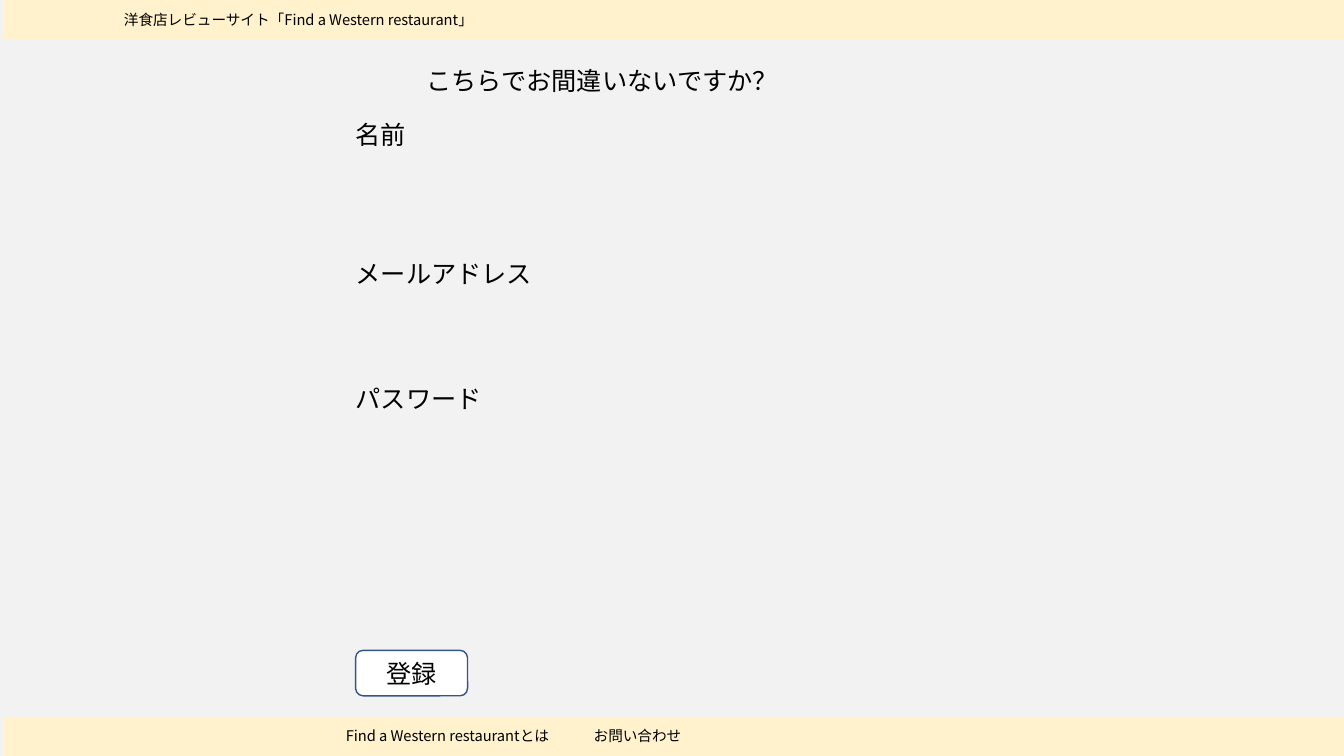
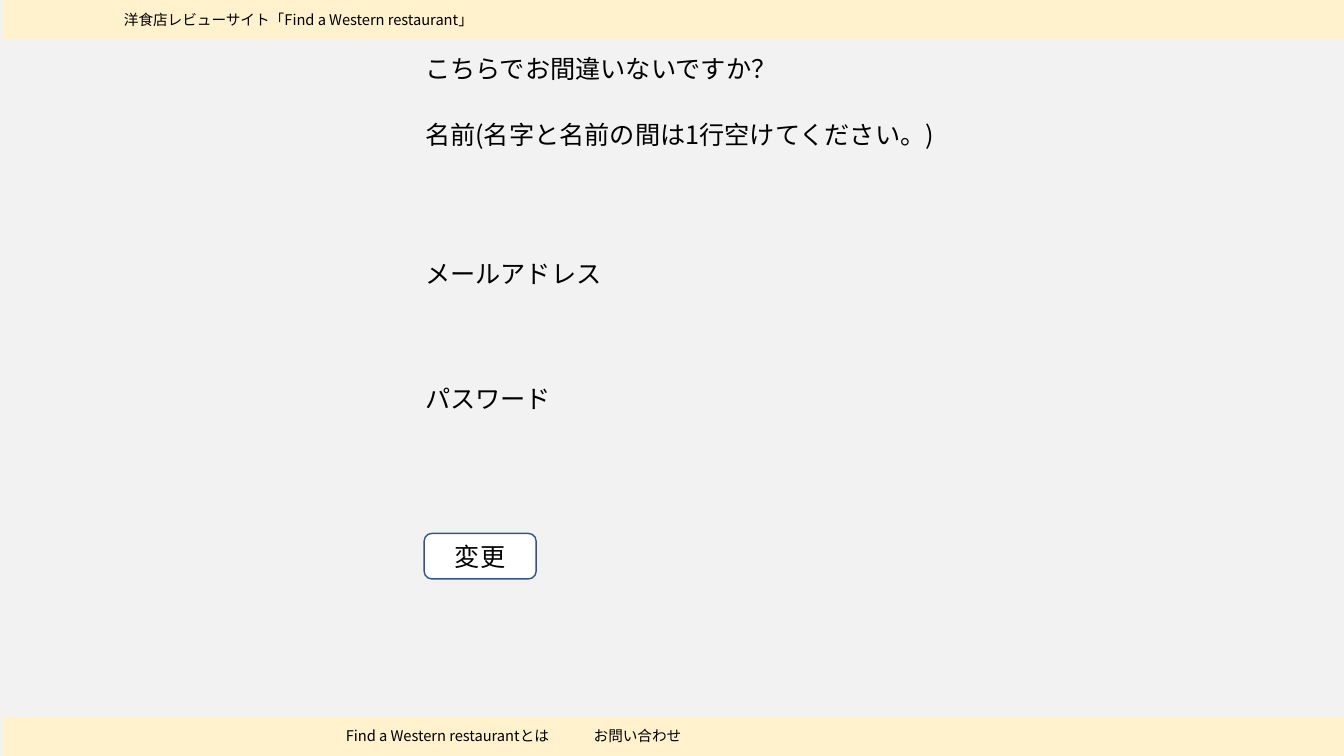
from dataclasses import dataclass

from lxml import etree
from pptx import Presentation
from pptx import util as u
from pptx.dml import color
from pptx.enum import shapes, text
from pptx.oxml import ns

# Content: one dict per screen, field labels paired with their top edge
SCREENS = [
    {
        "title": "こちらでお間違いないですか？", "title_at": (297.5, 43),
        "fields_left": 247,
        "fields": [("名前", 82), ("メールアドレス", 181), ("パスワード", 270)],
        "button": "登録", "button_at": (254, 464.5),
    },
    {
        "title": "こちらでお間違いないですか？", "title_at": (296.5, 34.5),
        "fields_left": 296.5,
        "fields": [("名前(名字と名前の間は1行空けてください。)", 82),
                   ("メールアドレス", 181), ("パスワード", 270)],
        "button": "変更", "button_at": (303, 381),
    },
]
# Band texts: wording, left, top, width
BAND_TEXTS = [
    ("洋食店レビューサイト「Find a Western restaurant」", 81.5, 4.5, 271),
    ("Find a Western restaurantとは", 240, 516, 164),
    ("お問い合わせ", 417, 516, 78.5),
]


@dataclass(frozen=True)
class Theme:
    font: str = "Noto Sans CJK JP"
    background: str = "F2F2F2"
    band: str = "FFF2CC"
    ink: str = "000000"
    button_fill: str = "FFFFFF"
    button_line: str = "325491"
    label_size: float = 18
    band_size: float = 10.5


THEME = Theme()
WIDTH, HEIGHT = 960, 540
BAND_LEFT, BAND_HEIGHT = 2, 28
BUTTON_SIZE = (80, 32.5)
LABEL_HEIGHT, LABEL_MAX_WIDTH = 29, 384
INSET = 7.2


def rgb(value):
    return color.RGBColor.from_string(value)


def write(shape, wording, size, align=text.PP_ALIGN.LEFT, wrap=False):
    frame = shape.text_frame
    frame.text = wording
    frame.word_wrap = wrap
    frame.auto_size = text.MSO_AUTO_SIZE.NONE
    paragraph = frame.paragraphs[0]
    paragraph.alignment = align
    for run in paragraph.runs:
        run.font.size = u.Pt(size)
        run.font.color.rgb = rgb(THEME.ink)
        run.font.name = THEME.font
        east_asian = etree.SubElement(run._r.get_or_add_rPr(), ns.qn("a:ea"))
        east_asian.set("typeface", THEME.font)


def add_box(slide, kind, left, top, width, height, fill, line=None):
    shape = slide.shapes.add_shape(kind, *map(u.Pt, (left, top, width, height)))
    shape.shadow.inherit = False
    shape.fill.solid()
    shape.fill.fore_color.rgb = rgb(fill)
    if line:
        shape.line.color.rgb = rgb(line)
        shape.line.width = u.Pt(1)
    else:
        shape.line.fill.background()
    return shape


def add_text(slide, wording, left, top, width, height, size, wrap=False):
    box = slide.shapes.add_textbox(*map(u.Pt, (left, top, width, height)))
    write(box, wording, size, wrap=wrap)


def label_width(wording):
    return len(wording) * THEME.label_size + 2 * INSET


def add_frame(slide):
    """Background, header band and footer band shared by every screen."""
    slide.background.fill.solid()
    slide.background.fill.fore_color.rgb = rgb(THEME.background)
    for top in (0, HEIGHT - BAND_HEIGHT):
        add_box(slide, shapes.MSO_SHAPE.RECTANGLE, BAND_LEFT, top,
                WIDTH - BAND_LEFT, BAND_HEIGHT, THEME.band)
    for wording, left, top, width in BAND_TEXTS:
        add_text(slide, wording, left, top, width, 20, THEME.band_size)


def add_title(slide, wording, left, top):
    title = slide.shapes.title
    title.left, title.top = u.Pt(left), u.Pt(top)
    title.width, title.height = u.Pt(label_width(wording)), u.Pt(LABEL_HEIGHT)
    write(title, wording, THEME.label_size)
    title.text_frame.vertical_anchor = text.MSO_ANCHOR.TOP


def build_screen(presentation, screen):
    slide = presentation.slides.add_slide(presentation.slide_layouts[5])
    add_frame(slide)
    add_title(slide, screen["title"], *screen["title_at"])

    # Field labels; only one wider than the form wraps
    for wording, top in screen["fields"]:
        width = label_width(wording)
        add_text(slide, wording, screen["fields_left"], top,
                 min(width, LABEL_MAX_WIDTH), LABEL_HEIGHT, THEME.label_size,
                 wrap=width > LABEL_MAX_WIDTH)

    # Action button
    button = add_box(slide, shapes.MSO_SHAPE.ROUNDED_RECTANGLE,
                     *screen["button_at"], *BUTTON_SIZE,
                     THEME.button_fill, THEME.button_line)
    write(button, screen["button"], THEME.label_size, text.PP_ALIGN.CENTER)
    button.text_frame.vertical_anchor = text.MSO_ANCHOR.MIDDLE


def main():
    presentation = Presentation()
    presentation.slide_width, presentation.slide_height = u.Pt(WIDTH), u.Pt(HEIGHT)
    for screen in SCREENS:
        build_screen(presentation, screen)
    presentation.save("out.pptx")


if __name__ == "__main__":
    main()
